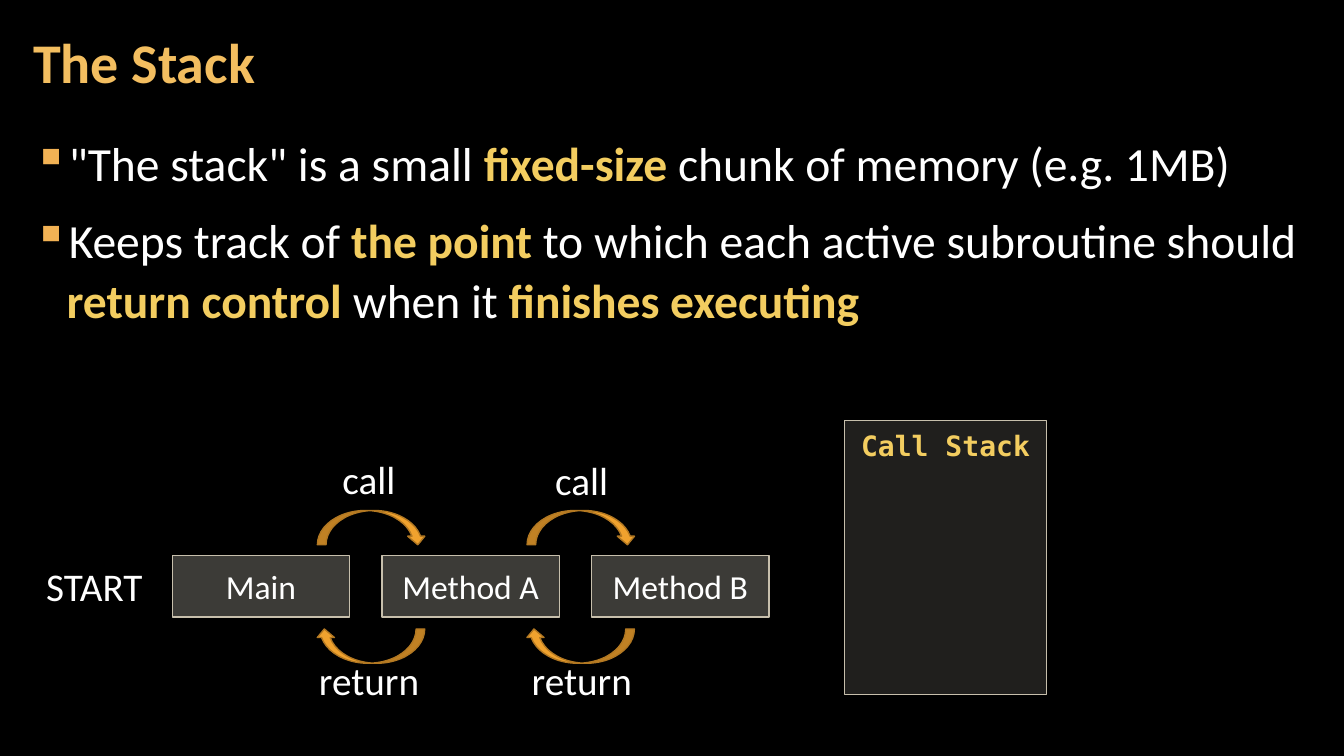
from dataclasses import dataclass

from lxml import etree
from pptx import Presentation
from pptx.dml.color import RGBColor
from pptx.enum.shapes import MSO_SHAPE
from pptx.enum.text import MSO_ANCHOR, PP_ALIGN
from pptx.oxml.ns import qn
from pptx.util import Pt

RECTANGLE = MSO_SHAPE.RECTANGLE
CURVED_ARROW = MSO_SHAPE.CURVED_RIGHT_ARROW
TOP, MIDDLE = MSO_ANCHOR.TOP, MSO_ANCHOR.MIDDLE
LEFT, CENTER = PP_ALIGN.LEFT, PP_ALIGN.CENTER

BLACK = RGBColor(0x00, 0x00, 0x00)
WHITE = RGBColor(0xFF, 0xFF, 0xFF)
TITLE_GOLD = RGBColor(0xF3, 0xBE, 0x60)
BULLET_GOLD = RGBColor(0xF2, 0xB2, 0x54)
EMPHASIS = RGBColor(0xF3, 0xCD, 0x60)
BOX_FILL = RGBColor(0xD9, 0xD5, 0xC7)
BOX_LINE = RGBColor(0xC7, 0xBF, 0xAC)
ARROW_FILL = RGBColor(0xF0, 0xA2, 0x2E)
ARROW_LINE = RGBColor(0xB2, 0x78, 0x22)

BODY_FONT = "Calibri"
CODE_FONT = "DejaVu Sans Mono"
BOX_PITCH = 149.76
LABEL_PITCH = 152


@dataclass(frozen=True)
class Area:
    left: float
    top: float
    width: float
    height: float

    def shifted(self, dx: float, dy: float = 0) -> "Area":
        return Area(self.left + dx, self.top + dy, self.width, self.height)

    def lengths(self) -> tuple[Pt, Pt, Pt, Pt]:
        return Pt(self.left), Pt(self.top), Pt(self.width), Pt(self.height)


@dataclass(frozen=True)
class Style:
    size: float
    color: RGBColor = WHITE
    bold: bool = False
    font: str = BODY_FONT


@dataclass(frozen=True)
class Transfer:
    """A kind of jump between neighbouring methods."""
    word: str
    label: Area
    label_drop: float
    arrow: Area
    flip: str


TITLE_STYLE = Style(40, TITLE_GOLD, True)
PLAIN = Style(34)
STRONG = Style(34, EMPHASIS, True)
LABEL_STYLE = Style(28)
METHOD_STYLE = Style(24)
STACK_STYLE = Style(20, EMPHASIS, True, CODE_FONT)

BULLETS = [
    [('"The stack" is a small ', PLAIN), ("fixed-size", STRONG),
     (" chunk of memory (e.g. 1MB)", PLAIN)],
    [("Keeps track of ", PLAIN), ("the point", STRONG),
     (" to which each active subroutine should ", PLAIN),
     ("return control ", STRONG), ("when it ", PLAIN),
     ("finishes executing", STRONG)],
]
METHODS = ["Main", "Method A", "Method B"]
TRANSFERS = [
    Transfer("call", Area(223.2, 326.2, 80.6, 31), 1.4,
             Area(253.4, 338, 24.5, 77.8), "flipV"),
    Transfer("return", Area(214.6, 470.2, 98, 31), 0,
             Area(252.2, 422.6, 24.5, 77.8), "flipH"),
]


def format_run(run, style: Style) -> None:
    run.font.name = style.font
    run.font.size = Pt(style.size)
    run.font.bold = style.bold
    run.font.color.rgb = style.color


def set_text(shape, text: str, style: Style, align=CENTER, anchor=MIDDLE) -> None:
    frame = shape.text_frame
    frame.word_wrap = True
    frame.vertical_anchor = anchor
    frame.text = text
    paragraph = frame.paragraphs[0]
    paragraph.alignment = align
    format_run(paragraph.runs[0], style)


def set_insets(frame, horizontal: float, vertical: float) -> None:
    frame.margin_left = frame.margin_right = Pt(horizontal)
    frame.margin_top = frame.margin_bottom = Pt(vertical)


def add_label(slide, area: Area, text: str, style: Style, anchor=MIDDLE) -> None:
    set_text(slide.shapes.add_textbox(*area.lengths()), text, style, anchor=anchor)


def add_filled(slide, kind, area: Area, fill: RGBColor, line: RGBColor):
    shape = slide.shapes.add_shape(kind, *area.lengths())
    shape.shadow.inherit = False
    shape.fill.solid()
    shape.fill.fore_color.rgb = fill
    shape.line.color.rgb = line
    shape.line.width = Pt(1)
    return shape


def add_box(slide, area: Area, opacity: int):
    """Draw a see-through rectangle; opacity is a percentage."""
    box = add_filled(slide, RECTANGLE, area, BOX_FILL, BOX_LINE)
    color = box._element.spPr.find(qn("a:solidFill")).find(qn("a:srgbClr"))
    etree.SubElement(color, qn("a:alpha"), val=str(opacity * 1000))
    return box


def add_arrow(slide, area: Area, flip: str) -> None:
    arrow = add_filled(slide, CURVED_ARROW, area, ARROW_FILL, ARROW_LINE)
    arrow.rotation = 90
    arrow._element.spPr.find(qn("a:xfrm")).set(flip, "1")


def add_bullet_mark(paragraph) -> None:
    properties = paragraph._p.get_or_add_pPr()
    properties.set("marL", str(Pt(23.8)))
    properties.set("indent", str(-Pt(23.8)))
    color = etree.SubElement(properties, qn("a:buClr"))
    etree.SubElement(color, qn("a:srgbClr"), val=str(BULLET_GOLD))
    etree.SubElement(properties, qn("a:buChar"), char="▪")


def add_bullets(slide) -> None:
    frame = slide.shapes.add_textbox(*Area(15.1, 90.7, 929.5, 438.5).lengths()).text_frame
    frame.word_wrap = True
    set_insets(frame, 8.64, 2.88)
    for index, pieces in enumerate(BULLETS):
        paragraph = frame.add_paragraph() if index else frame.paragraphs[0]
        add_bullet_mark(paragraph)
        paragraph.line_spacing = 1.05
        paragraph.space_before = Pt(6 if index else 0)
        paragraph.space_after = Pt(6)
        for text, style in pieces:
            run = paragraph.add_run()
            run.text = text
            format_run(run, style)


def add_title(slide) -> None:
    title = slide.shapes.title
    title.left, title.top, title.width, title.height = Area(15.1, 2.9, 753.8, 87.1).lengths()
    set_text(title, "The Stack", TITLE_STYLE, LEFT)
    set_insets(title.text_frame, 8.64, 2.88)
    title.text_frame.paragraphs[0].line_spacing = 0.9


def add_call_flow(slide) -> None:
    add_label(slide, Area(23.8, 403.2, 87.1, 31), "START", LABEL_STYLE)
    first_method = Area(123.1, 396.9, 126.7, 43.9)
    for index, name in enumerate(METHODS):
        box = add_box(slide, first_method.shifted(index * BOX_PITCH), 28)
        set_text(box, name, METHOD_STYLE)
        set_insets(box.text_frame, 14.4, 7.2)
    for transfer in TRANSFERS:
        for index in range(len(METHODS) - 1):
            add_arrow(slide, transfer.arrow.shifted(index * BOX_PITCH), transfer.flip)
            label = transfer.label.shifted(index * LABEL_PITCH, index * transfer.label_drop)
            add_label(slide, label, transfer.word, LABEL_STYLE)


def add_call_stack(slide) -> None:
    add_box(slide, Area(603.4, 300.2, 144, 195.8), 15)
    add_label(slide, Area(603.4, 302.4, 144, 55.4), "Call Stack", STACK_STYLE, TOP)


def main() -> None:
    presentation = Presentation()
    presentation.slide_width, presentation.slide_height = Pt(960), Pt(540)
    slide = presentation.slides.add_slide(presentation.slide_layouts[5])
    slide.background.fill.solid()
    slide.background.fill.fore_color.rgb = BLACK
    add_title(slide)
    add_bullets(slide)
    add_call_flow(slide)
    add_call_stack(slide)
    presentation.save("out.pptx")


if __name__ == "__main__":
    main()
